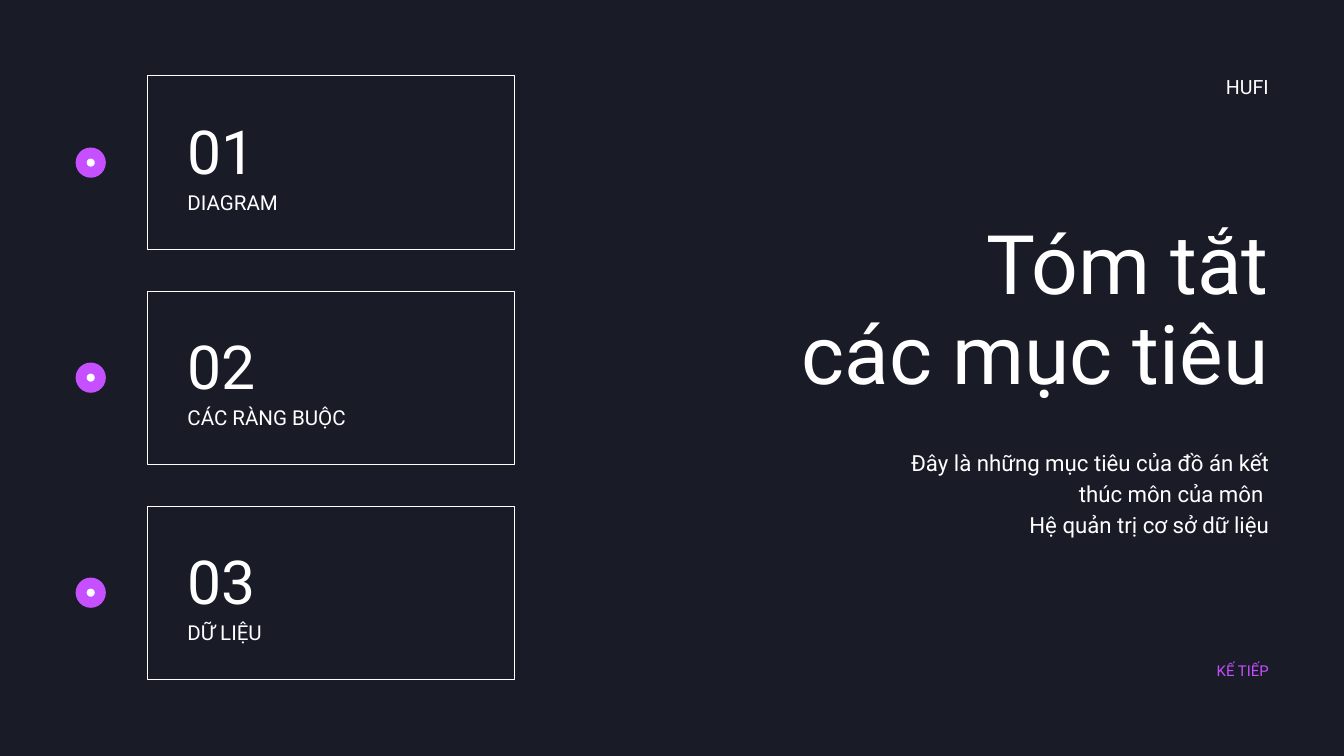
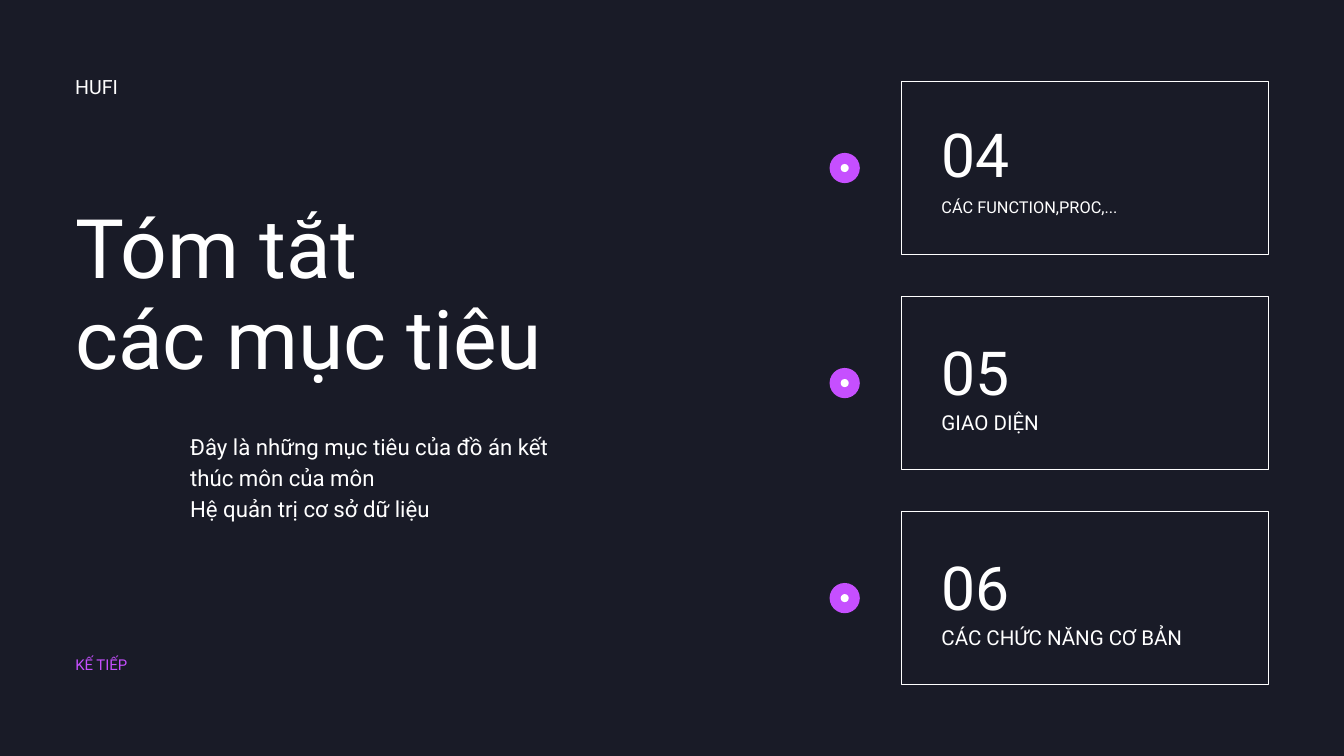
from pptx import Presentation
from pptx.dml.color import RGBColor
from pptx.enum.shapes import MSO_SHAPE
from pptx.enum.text import PP_ALIGN
from pptx.util import Inches, Pt

NIGHT = RGBColor(0x19, 0x1B, 0x27)
WHITE = RGBColor(0xFF, 0xFF, 0xFF)
VIOLET = RGBColor(0xC6, 0x4F, 0xFF)
FONT = "Roboto"
CARD_W, CARD_H, STEP = 5.47, 2.6, 3.2
EDGE = 0.01
TITLE = ["Tóm tắt", "các mục tiêu"]
GOAL = "Đây là những mục tiêu của đồ án kết thúc môn của môn"
COURSE = "Hệ quản trị cơ sở dữ liệu"


def add_text(slide, lines, left, top, width, height, size=22, lead=30.8,
             color=WHITE, align=PP_ALIGN.LEFT):
    box = slide.shapes.add_textbox(Inches(left), Inches(top),
                                   Inches(width), Inches(height))
    frame = box.text_frame
    frame.word_wrap = True
    frame.margin_left = frame.margin_right = 0
    frame.margin_top = frame.margin_bottom = 0
    for i, line in enumerate(lines):
        para = frame.paragraphs[0] if i == 0 else frame.add_paragraph()
        para.alignment = align
        para.line_spacing = Pt(lead)
        run = para.add_run()
        run.text = line
        run.font.name = FONT
        run.font.size = Pt(size)
        run.font.color.rgb = color


def add_disc(slide, x, y, size, color):
    disc = slide.shapes.add_shape(
        MSO_SHAPE.OVAL, Inches(x - size / 2), Inches(y - size / 2),
        Inches(size), Inches(size))
    disc.shadow.inherit = False
    disc.fill.solid()
    disc.fill.fore_color.rgb = color
    disc.line.fill.background()


def add_frame(slide, left, top):
    frame = slide.shapes.add_shape(
        MSO_SHAPE.RECTANGLE, Inches(left + EDGE), Inches(top + EDGE),
        Inches(CARD_W - 2 * EDGE), Inches(CARD_H - 2 * EDGE))
    frame.shadow.inherit = False
    frame.fill.background()
    frame.line.color.rgb = WHITE
    frame.line.width = Pt(1)


def add_card(slide, left, top, number, label, size=22, rise=0.49, drop=1.64):
    middle = top + CARD_H / 2
    add_disc(slide, left - 0.84, middle, 0.45, VIOLET)
    add_disc(slide, left - 0.84, middle, 0.12, WHITE)
    add_frame(slide, left, top)
    add_text(slide, [label], left + 0.6, top + drop, 4.27, 0.41,
             size=size, lead=size * 1.4)
    add_text(slide, [f"{number:02}"], left + 0.6, top + rise, 4.27, 1.15,
             size=65, lead=84.5)


def add_cards(slide, left, top, first, cards):
    for i, (label, style) in enumerate(cards):
        add_card(slide, left, top + i * STEP, first + i, label, **style)


def add_intro(slide, side, top, goal, foot, align):
    def place(lines, width, y, height, inset=0, **style):
        left = side + inset if align == PP_ALIGN.LEFT else side - width
        add_text(slide, lines, left, y, width, height, align=align, **style)

    place(TITLE, 7.44, top, 2.75, size=88, lead=96.8)
    place([goal, COURSE], 5.73, top + 3.34, 1.36, inset=1.71,
          size=23.8, lead=33.2)
    place(["KẾ TIẾP"], 1.51, foot, 0.29, size=16, lead=19.2, color=VIOLET)
    place(["HUFI"], 5.73, 1.11, 0.36, size=21, lead=25.2)


def add_slide(deck):
    slide = deck.slides.add_slide(deck.slide_layouts[6])
    slide.background.fill.solid()
    slide.background.fill.fore_color.rgb = NIGHT
    return slide


def main():
    deck = Presentation()
    deck.slide_width, deck.slide_height = Inches(20), Inches(11.25)

    slide = add_slide(deck)
    add_cards(slide, 2.19, 1.12, 1,
              [("DIAGRAM", {}), ("CÁC RÀNG BUỘC", {}), ("DỮ LIỆU", {})])
    add_intro(slide, 18.88, 3.28, GOAL + " ", 9.84, PP_ALIGN.RIGHT)

    slide = add_slide(deck)
    small = {"size": 17.5, "rise": 0.45, "drop": 1.69}
    add_cards(slide, 13.41, 1.2, 4,
              [("CÁC FUNCTION,PROC,...", small), ("GIAO DIỆN", {}),
               ("CÁC CHỨC NĂNG CƠ BẢN", {})])
    add_intro(slide, 1.12, 3.05, GOAL, 9.76, PP_ALIGN.LEFT)

    deck.save("out.pptx")


if __name__ == "__main__":
    main()
